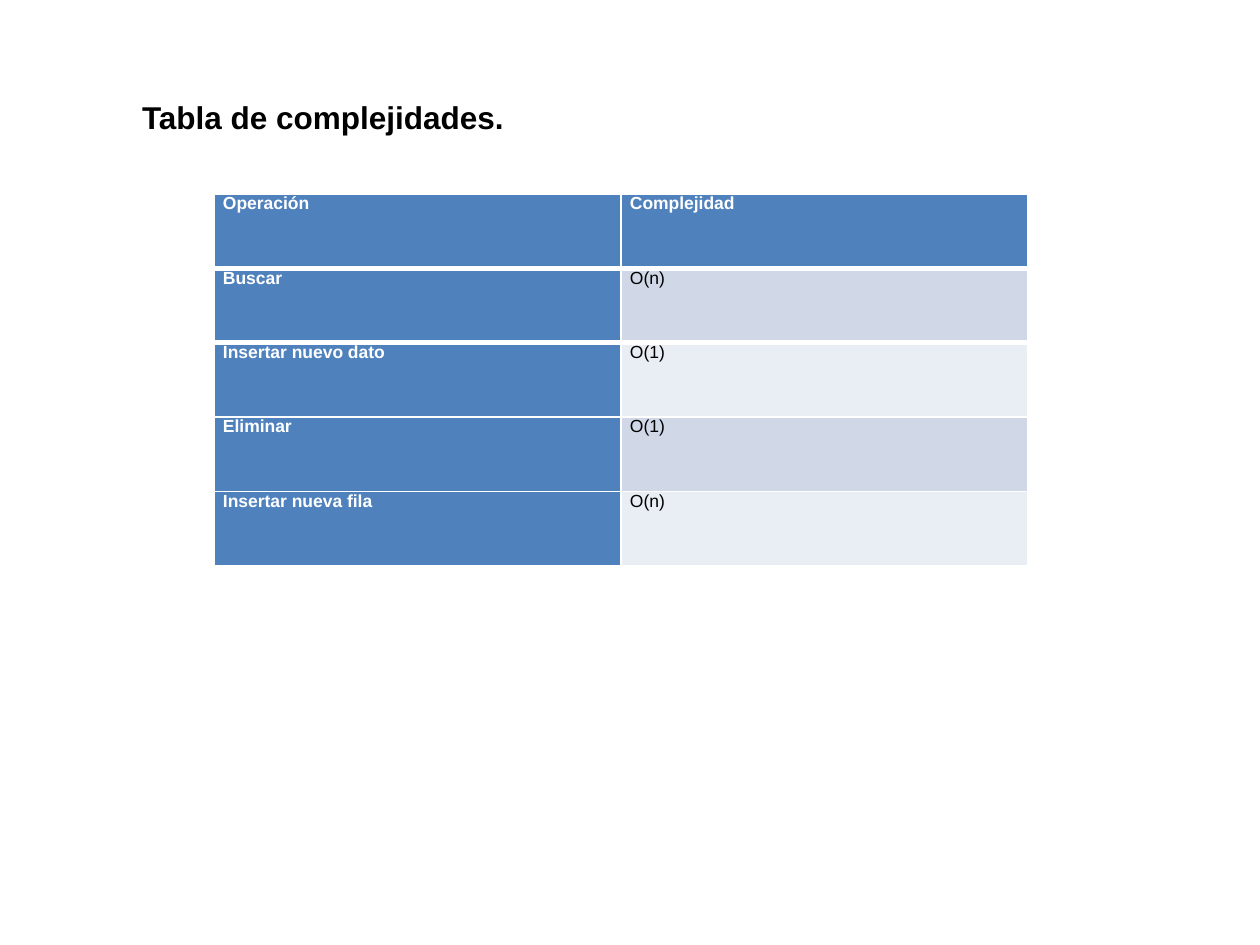
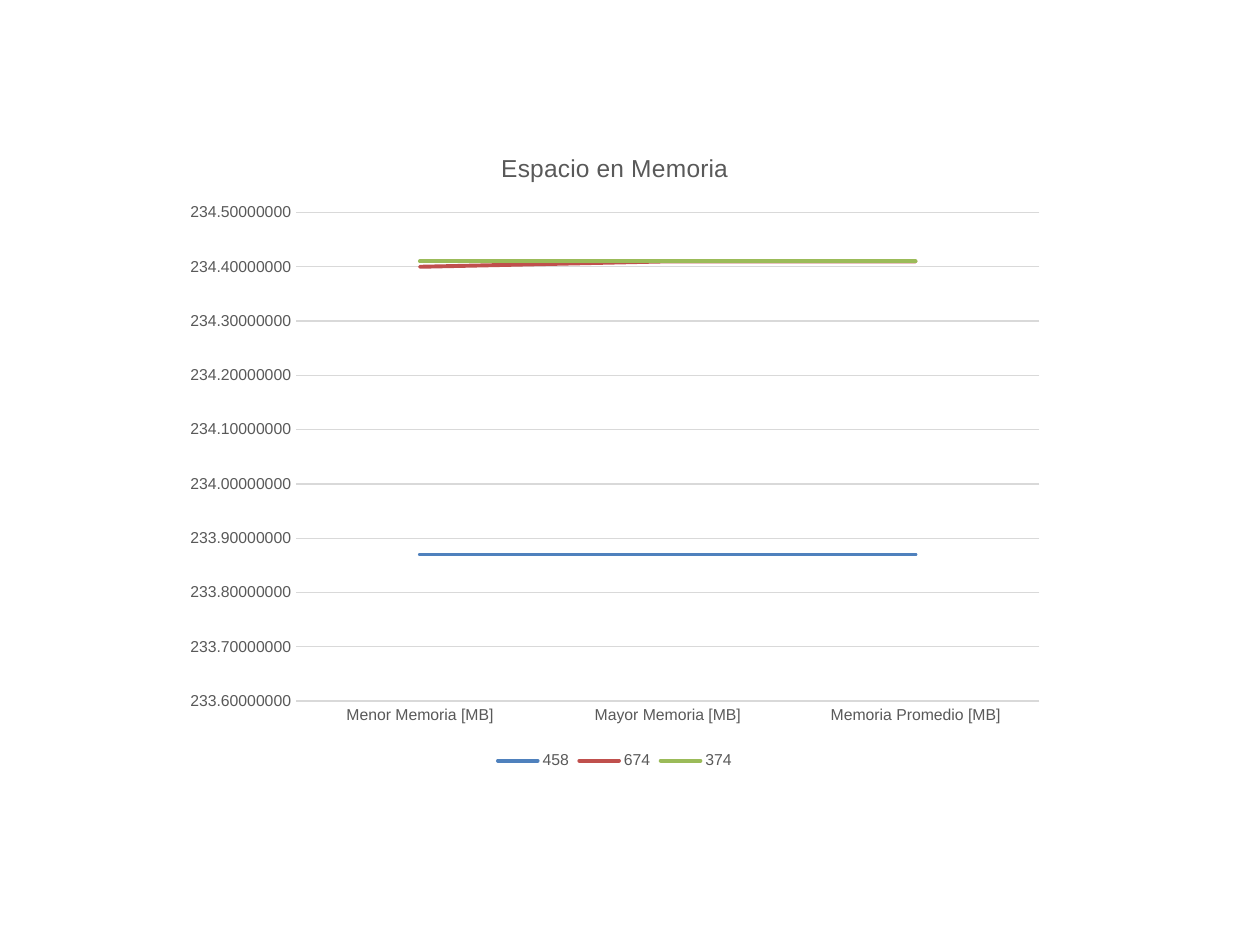
from lxml import etree
from pptx import Presentation
from pptx.chart.data import CategoryChartData
from pptx.dml.color import RGBColor
from pptx.enum.chart import XL_CHART_TYPE, XL_LEGEND_POSITION, XL_TICK_MARK
from pptx.enum.text import MSO_AUTO_SIZE, PP_ALIGN
from pptx.oxml import parse_xml
from pptx.oxml.ns import nsdecls, qn
from pptx.util import Inches, Pt

FONT = "Arial"
BLACK = RGBColor(0x00, 0x00, 0x00)
WHITE = RGBColor(0xFF, 0xFF, 0xFF)
BLUE = RGBColor(0x4F, 0x81, 0xBD)
RED = RGBColor(0xC0, 0x50, 0x4D)
GREEN = RGBColor(0x9B, 0xBB, 0x59)
BAND_DARK = RGBColor(0xD0, 0xD8, 0xE8)
BAND_LIGHT = RGBColor(0xE9, 0xED, 0xF4)
GREY_TEXT = RGBColor(0x59, 0x59, 0x59)
GREY_LINE = RGBColor(0xD9, 0xD9, 0xD9)


def set_font(font, size, color, bold=False):
    font.name, font.size, font.bold = FONT, Pt(size), bold
    font.color.rgb = color


def set_line(line, color, width):
    line.color.rgb = color
    line.width = Pt(width)


prs = Presentation()
prs.slide_width, prs.slide_height = Inches(10), Inches(7.5)
blank = prs.slide_layouts[6]

# Slide 1: complexity table
s = prs.slides.add_slide(blank)
tf = s.shapes.add_textbox(Inches(1.03), Inches(0.73), Inches(3.84), Inches(0.4)).text_frame
tf.word_wrap = True
tf.auto_size = MSO_AUTO_SIZE.SHAPE_TO_FIT_TEXT
p = tf.paragraphs[0]
p.text = "Tabla de complejidades."
set_font(p.font, 18, BLACK, bold=True)

operations = [
    ("Operación", "Complejidad"),
    ("Buscar", "O(n)"),
    ("Insertar nuevo dato", "O(1)"),
    ("Eliminar", "O(1)"),
    ("Insertar nueva fila", "O(n)"),
]
col_width, row_height = 3.23, 0.59
table = s.shapes.add_table(
    len(operations), 2, Inches(1.7), Inches(1.54),
    Inches(2 * col_width), Inches(len(operations) * row_height),
).table
table.first_col = True
for i, row in enumerate(operations):
    for j, text in enumerate(row):
        heading = i == 0 or j == 0
        cell = table.cell(i, j)
        cell.margin_left = cell.margin_right = Inches(0.07)
        cell.margin_top = cell.margin_bottom = 0
        cell.fill.solid()
        cell.fill.fore_color.rgb = BLUE if heading else BAND_DARK if i % 2 else BAND_LIGHT
        # Thick rule between the header and the first row
        edges = {0: "lnB", 1: "lnT"}
        if i in edges:
            border = parse_xml(f'<a:{edges[i]} {nsdecls("a")} w="{Pt(3)}"/>')
            fill = etree.SubElement(border, qn("a:solidFill"))
            etree.SubElement(fill, qn("a:srgbClr"), val=str(WHITE))
            cell._tc.get_or_add_tcPr().insert(0, border)
        p = cell.text_frame.paragraphs[0]
        p.text = text
        p.alignment = PP_ALIGN.JUSTIFY
        p.space_after = Pt(6)
        set_font(p.font, 10, WHITE if heading else BLACK, bold=heading)

# Slide 2: memory chart
s = prs.slides.add_slide(blank)
memory = [
    ("458", (233.87, 233.87, 233.87), BLUE),
    ("674", (234.4, 234.41, 234.41), RED),
    ("374", (234.41, 234.41, 234.41), GREEN),
]
data = CategoryChartData(number_format="0.00000000")
data.categories = ["Menor Memoria [MB]", "Mayor Memoria [MB]", "Memoria Promedio [MB]"]
for name, values, _ in memory:
    data.add_series(name, values)
chart = s.shapes.add_chart(
    XL_CHART_TYPE.LINE, Inches(1.37), Inches(1.02), Inches(7.02), Inches(5.13), data
).chart
set_font(chart.font, 10, BLACK)

chart.has_title = True
p = chart.chart_title.text_frame.paragraphs[0]
p.text = "Espacio en Memoria"
set_font(p.font, 14, GREY_TEXT)
chart.chart_title.include_in_layout = False

chart.has_legend = True
chart.legend.position = XL_LEGEND_POSITION.BOTTOM
chart.legend.include_in_layout = False
set_font(chart.legend.font, 9, GREY_TEXT)

for axis in (chart.category_axis, chart.value_axis):
    axis.major_tick_mark = axis.minor_tick_mark = XL_TICK_MARK.NONE
    set_font(axis.tick_labels.font, 9, GREY_TEXT)
set_line(chart.category_axis.format.line, GREY_LINE, 0.75)

value_axis = chart.value_axis
value_axis.minimum_scale, value_axis.maximum_scale = 233.6, 234.5
value_axis.major_unit = 0.1
value_axis.tick_labels.number_format = "0.00000000"
value_axis.tick_labels.number_format_is_linked = False
value_axis.format.line.fill.background()
set_line(value_axis.major_gridlines.format.line, GREY_LINE, 0.75)

for series, (_, _, color) in zip(chart.plots[0].series, memory):
    series.smooth = False
    set_line(series.format.line, color, 2.25)
    series._element.spPr.find(qn("a:ln")).set("cap", "rnd")

prs.save("out.pptx")
